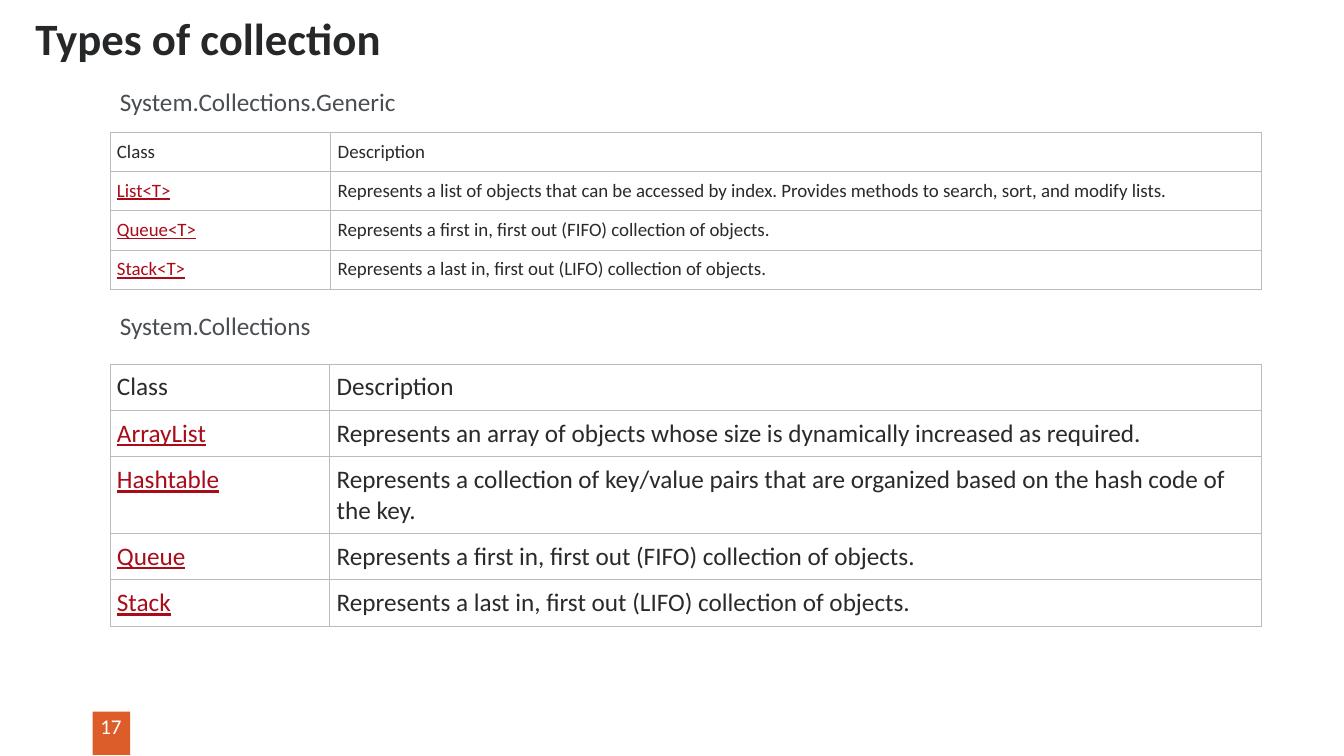
from dataclasses import dataclass

from lxml.etree import SubElement
from pptx import Presentation
from pptx.dml.color import RGBColor
from pptx.enum.shapes import MSO_SHAPE as Shape
from pptx.enum.text import MSO_ANCHOR as Anchor, MSO_AUTO_SIZE as Fit, PP_ALIGN as Align
from pptx.oxml.ns import qn
from pptx.slide import Slide
from pptx.table import _Cell as Cell
from pptx.text.text import TextFrame
from pptx.util import Inches, Pt

FONT = "Calibri"
INK = RGBColor(0x25, 0x27, 0x29)
GREY = RGBColor(0x4A, 0x4E, 0x52)
DARK = RGBColor(0x2A, 0x2A, 0x2A)
RED = RGBColor(0xAA, 0x0B, 0x19)
RULE = RGBColor(0xBB, 0xBB, 0xBB)
ORANGE = RGBColor(0xDC, 0x5D, 0x2A)
WHITE = RGBColor(0xFF, 0xFF, 0xFF)

LEFT = 1.09
WIDTH = 11.42
HEAD = ("Class", "Description")
FIFO = "Represents a first in, first out (FIFO) collection of objects."
LIFO = "Represents a last in, first out (LIFO) collection of objects."


@dataclass
class Group:
    name: str
    label: float
    top: float
    size: float
    height: float
    split: float
    rows: list[tuple[str, str]]


GROUPS = [
    Group("System.Collections.Generic", 0.81, 1.31, 13.5, 0.39, 2.19, [
        ("List<T>", "Represents a list of objects that can be accessed by index. "
                    "Provides methods to search, sort, and modify lists."),
        ("Queue<T>", FIFO),
        ("Stack<T>", LIFO),
    ]),
    Group("System.Collections", 3.03, 3.61, 18, 0.46, 2.18, [
        ("ArrayList", "Represents an array of objects whose size is dynamically "
                      "increased as required."),
        ("Hashtable", "Represents a collection of key/value pairs that are organized "
                      "based on the hash code of the key."),
        ("Queue", FIFO),
        ("Stack", LIFO),
    ]),
]


def write(frame: TextFrame, text: str, size: float, color: RGBColor,
          bold: bool = False, under: bool = False) -> None:
    frame.text = text
    font = frame.paragraphs[0].runs[0].font
    font.name, font.size, font.bold = FONT, Pt(size), bold
    font.underline = under
    font.color.rgb = color


def add_text(slide: Slide, left: float, top: float, width: float, height: float,
             text: str, size: float, color: RGBColor) -> TextFrame:
    box = slide.shapes.add_textbox(*map(Inches, (left, top, width, height)))
    frame = box.text_frame
    frame.word_wrap = True
    write(frame, text, size, color)
    return frame


def trim(cell: Cell) -> None:
    """Set the margins, clear the fill and draw thin borders on all sides."""
    cell.margin_left = cell.margin_right = Inches(0.07)
    cell.margin_top = cell.margin_bottom = Inches(0.08)
    props = cell._tc.get_or_add_tcPr()
    for side in ("L", "R", "T", "B"):
        line = SubElement(props, qn(f"a:ln{side}"), w=str(Pt(0.6)))
        fill = SubElement(line, qn("a:solidFill"))
        SubElement(fill, qn("a:srgbClr"), val=str(RULE))
    cell.fill.background()


def add_group(slide: Slide, group: Group) -> None:
    add_text(slide, LEFT, group.label, 7.54, 0.4, group.name, 18, GREY)
    rows = [HEAD, *group.rows]
    area = (LEFT, group.top, WIDTH, group.height * len(rows))
    table = slide.shapes.add_table(len(rows), 2, *map(Inches, area)).table
    table.first_row = table.horz_banding = False
    table.columns[0].width = Inches(group.split)
    table.columns[1].width = Inches(WIDTH - group.split)
    for r, row in enumerate(rows):
        table.rows[r].height = Inches(group.height)
        for c, text in enumerate(row):
            cell = table.cell(r, c)
            link = r > 0 and c == 0
            trim(cell)
            write(cell.text_frame, text, group.size, RED if link else DARK, under=link)


def add_title(slide: Slide) -> None:
    title = slide.shapes.title
    title.left, title.top, title.width, title.height = map(Inches, (0.35, 0.1, 9.31, 0.62))
    frame = title.text_frame
    frame.auto_size = Fit.NONE
    frame.vertical_anchor = Anchor.MIDDLE
    frame.margin_left = 0
    write(frame, "Types of collection", 32, INK, bold=True)
    frame.paragraphs[0].alignment = Align.LEFT
    frame.paragraphs[0].line_spacing = 0.9


def add_page(slide: Slide) -> None:
    """Draw the page number on its coloured tab."""
    tab = slide.shapes.add_shape(Shape.RECTANGLE, *map(Inches, (0.92, 7.06, 0.37, 0.43)))
    tab.shadow.inherit = False
    tab.fill.solid()
    tab.fill.fore_color.rgb = ORANGE
    tab.line.fill.background()
    frame = add_text(slide, 0.86, 7.08, 0.48, 0.25, "17", 15, WHITE)
    frame.margin_left = frame.margin_right = 0
    frame.margin_top = frame.margin_bottom = 0
    frame.paragraphs[0].alignment = Align.CENTER


def main() -> None:
    deck = Presentation()
    deck.slide_width, deck.slide_height = Inches(13.33), Inches(7.5)
    slide = deck.slides.add_slide(deck.slide_layouts.get_by_name("Title Only"))
    add_page(slide)
    add_title(slide)
    for group in GROUPS:
        add_group(slide, group)
    deck.save("out.pptx")


if __name__ == "__main__":
    main()
